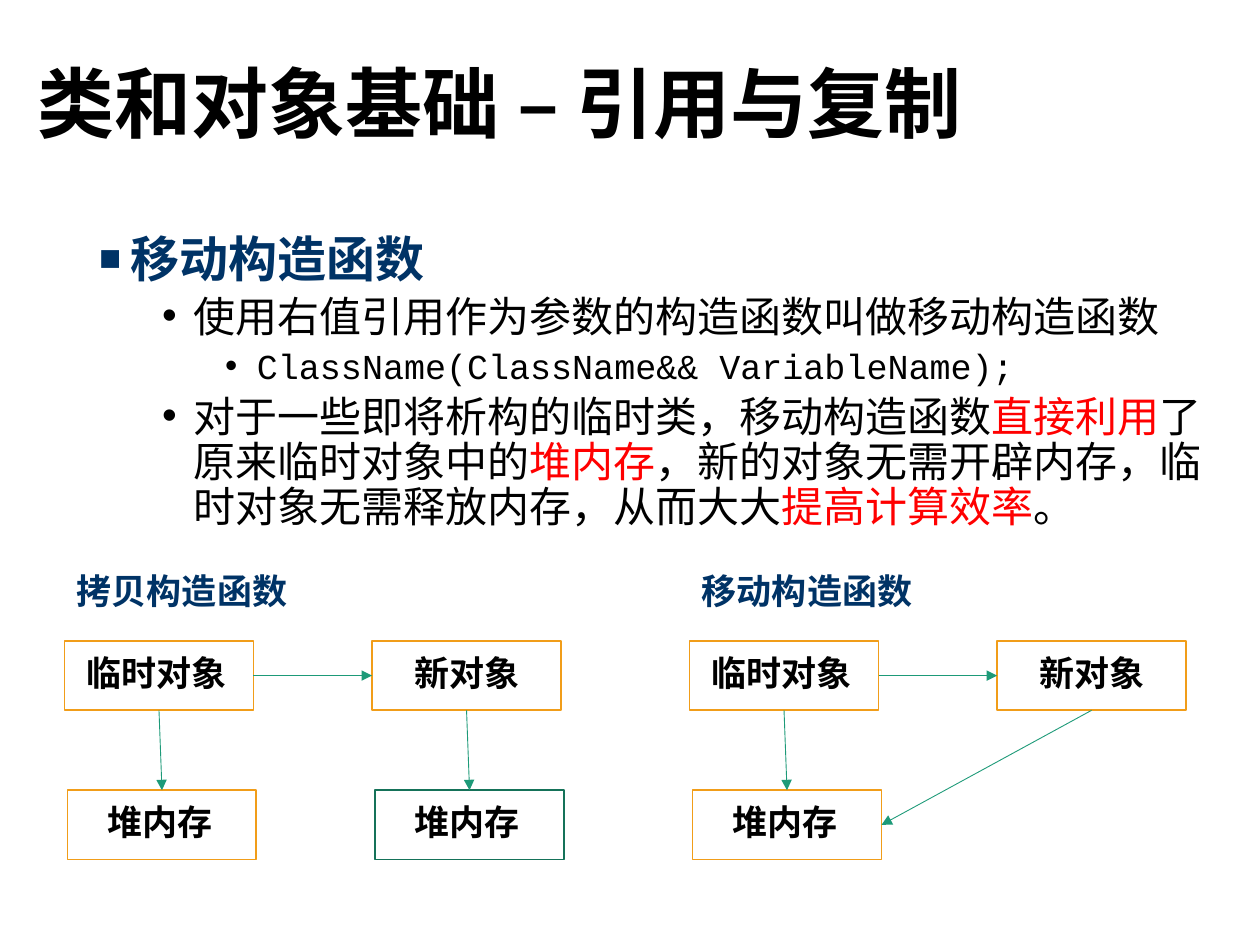
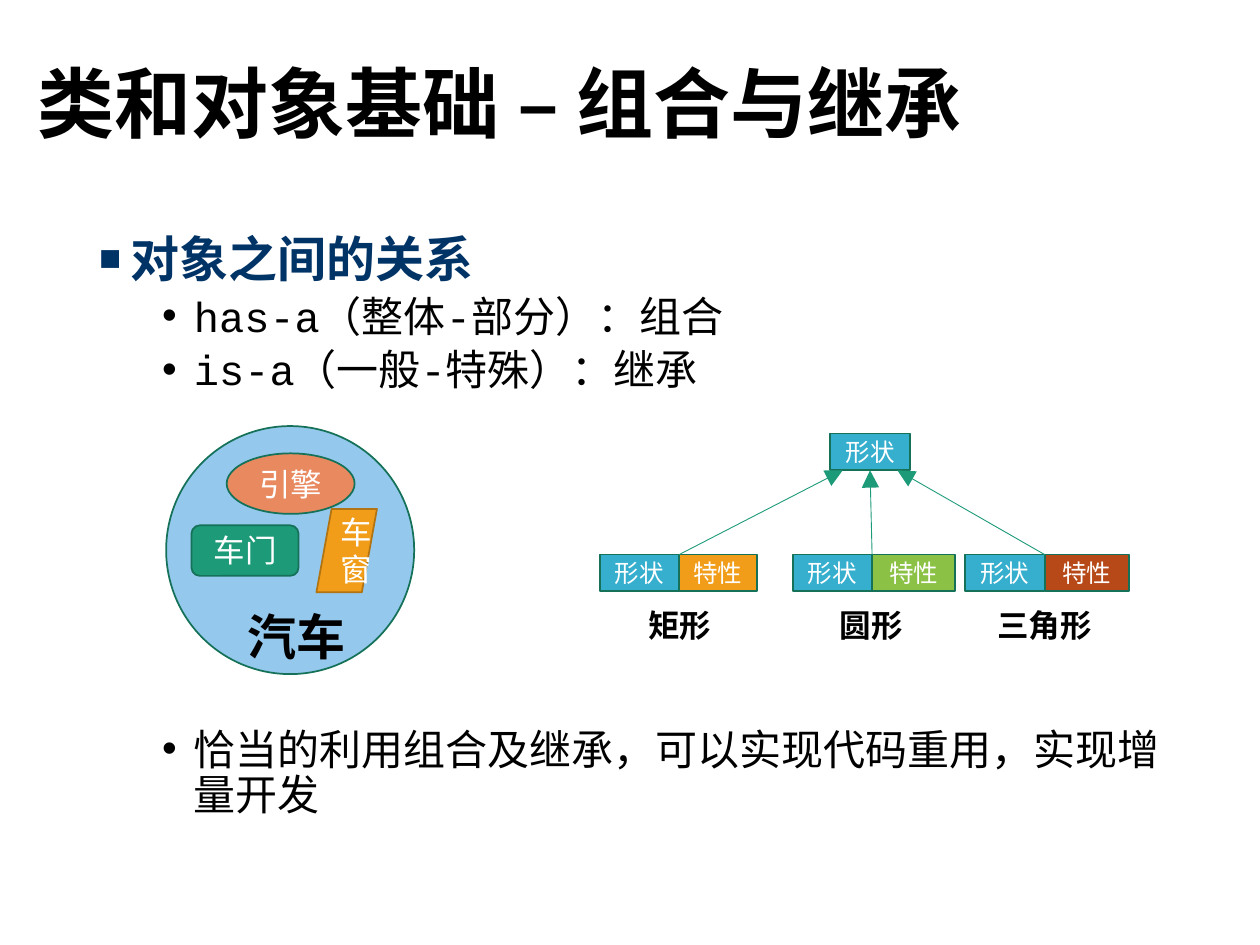
from lxml.etree import SubElement
from pptx import Presentation
from pptx.dml.color import RGBColor
from pptx.enum.shapes import MSO_CONNECTOR as Link, MSO_SHAPE as Preset
from pptx.enum.text import MSO_ANCHOR as Anchor, PP_ALIGN as Align
from pptx.oxml.ns import qn
from pptx.util import Cm, Pt

COLORS = {
    "black": "000000", "white": "FFFFFF", "navy": "003366", "red": "FF0000",
    "orange": "F19D19", "amber": "B27412", "green": "1D9A78", "pine": "157259",
    "sky": "94C8ED", "coral": "E98960", "cyan": "36AFCE", "lime": "8BC145",
    "rust": "B74919",
}
CJK, CODE, PLAIN = "Noto Sans CJK SC", "Courier New", "Calibri"
TOP, LEFT, BOTTOM, RIGHT = range(4)
LINE_PITCH = 1.19  # line height per point of text size

# Outline levels: size, bullet, bullet size in percent, space before, colour, bold
LEVELS = [
    (28, "■", 75, 0, "navy", True),
    (24, "•", 100, 5, "black", False),
    (20, "•", 100, 5, "black", False),
]


def rgb(color):
    return RGBColor.from_string(COLORS[color])


class Deck:
    """Shared style, plus the slide being filled; lengths are centimetres."""

    def __init__(self):
        self.prs = Presentation()
        self.prs.slide_width, self.prs.slide_height = Cm(25.4), Cm(19.05)
        self.slide = None

    def new_slide(self, topic):
        self.slide = self.prs.slides.add_slide(self.prs.slide_layouts[6])
        title = self.label(0.51, 0.33, 21.89, 3.68, "类和对象基础 – " + topic, 44)
        title.text_frame.paragraphs[0].line_spacing = 0.9

    def run(self, paragraph, text, size, color="black", bold=False, font=CJK):
        run = paragraph.add_run()
        run.text = text
        run.font.size, run.font.bold = Pt(size), bold
        run.font.color.rgb = rgb(color)
        run.font.name = font
        SubElement(run.font._element, qn("a:ea")).set("typeface", CJK)

    def label(self, x, y, w, h, text, size, color="black", font=CJK, align=Align.LEFT):
        box = self.slide.shapes.add_textbox(Cm(x), Cm(y), Cm(w), Cm(h))
        frame = box.text_frame
        frame.word_wrap, frame.vertical_anchor = True, Anchor.MIDDLE
        frame.paragraphs[0].alignment = align
        self.run(frame.paragraphs[0], text, size, color, True, font)
        return box

    def outline(self, width, items):
        """Bulleted text; an item is (level, [(text, colour, font)...], space before)."""
        box = self.slide.shapes.add_textbox(Cm(1.75), Cm(4.6), Cm(width), Cm(13.18))
        frame = box.text_frame
        frame.word_wrap = True
        for number, (level, parts, gap) in enumerate(items):
            paragraph = frame.add_paragraph() if number else frame.paragraphs[0]
            size, mark, percent, before, color, bold = LEVELS[level]
            paragraph.level = level
            paragraph.line_spacing = Pt(round(size * LINE_PITCH * 0.9, 1))
            paragraph.space_before = Pt(gap or before)
            for text, tint, font in parts:
                self.run(paragraph, text, size, tint or color, bold, font)
            self.bullet(paragraph, mark, percent, 0.64 + 1.27 * level)

    def bullet(self, paragraph, mark, percent, margin):
        props = paragraph._p.get_or_add_pPr()
        props.set("marL", str(Cm(margin)))
        props.set("indent", str(Cm(-0.64)))
        SubElement(props, qn("a:buSzPct")).set("val", str(percent * 1000))
        SubElement(props, qn("a:buFont")).set("typeface", "Arial")
        SubElement(props, qn("a:buChar")).set("char", mark)

    def shape(self, preset, x, y, w, h, fill, line="pine", text="", size=18):
        shape = self.slide.shapes.add_shape(preset, Cm(x), Cm(y), Cm(w), Cm(h))
        shape.shadow.inherit = False
        shape.fill.solid()
        shape.fill.fore_color.rgb = rgb(fill)
        shape.line.color.rgb, shape.line.width = rgb(line), Pt(1)
        if text:
            shape.text_frame.vertical_anchor = Anchor.MIDDLE
            paragraph = shape.text_frame.paragraphs[0]
            paragraph.alignment = Align.CENTER
            paragraph.line_spacing = Pt(round(size * LINE_PITCH, 1))
            self.run(paragraph, text, size, "white", font=PLAIN)
        return shape

    def arrow(self, start=(0, 0), end=(0, 0), begin=None, finish=None, head="med"):
        """Arrow between points; begin and finish are (shape, side) to join."""
        ends = [Cm(value) for value in (*start, *end)]
        arrow = self.slide.shapes.add_connector(Link.STRAIGHT, *ends)
        if begin:
            arrow.begin_connect(*begin)
        if finish:
            arrow.end_connect(*finish)
        arrow.line.color.rgb, arrow.line.width = rgb("green"), Pt(0.5)
        tail = SubElement(arrow.line._get_or_add_ln(), qn("a:tailEnd"))
        for key, value in (("type", "triangle"), ("w", head), ("len", head)):
            tail.set(key, value)
        SubElement(arrow._element.spPr, qn("a:effectLst"))

    def save(self):
        self.prs.save("out.pptx")


def memory_diagram(deck, left, heading, moves):
    """Objects above, heap memory below; a move reuses the first heap block."""
    top, heap_top, heap_left, step = 12.92, 15.93, left + 0.06, 6.2

    def node(x, y, text, indent, line="orange"):
        box = deck.shape(Preset.RECTANGLE, x, y, 3.81, 1.4, "white", line)
        deck.label(x + indent, y + 0.08, 5.21, 1.12, text, 20)
        return box

    temporary = node(left, top, "临时对象", 0.2)
    new = node(left + step, top, "新对象", 0.6)
    heap = node(heap_left, heap_top, "堆内存", 0.55)
    if moves:
        target = heap, RIGHT
    else:
        target = node(heap_left + step, heap_top, "堆内存", 0.55, "pine"), TOP
    deck.arrow(begin=(temporary, RIGHT), finish=(new, LEFT))
    deck.arrow(begin=(temporary, BOTTOM), finish=(heap, TOP))
    deck.arrow(begin=(new, BOTTOM), finish=target)
    deck.label(left, 11.35, 7.16, 1.12, heading, 20, "navy")


def move_constructor_slide(deck):
    deck.new_slide("引用与复制")
    deck.outline(23.34, [
        (0, [("移动构造函数", None, CODE)], None),
        (1, [("使用右值引用作为参数的构造函数叫做移动构造函数", None, CODE)], None),
        (2, [("ClassName(ClassName&& VariableName);", None, CODE)], None),
        (1, [
            ("对于一些即将析构的临时类，移动构造函数", None, CJK),
            ("直接利用", "red", CJK),
            ("了原来临时对象中的", None, CJK),
            ("堆内存", "red", CJK),
            ("，新的对象无需开辟内存，临时对象无需释放内存，从而大大", None, CJK),
            ("提高计算效率", "red", CJK),
            ("。", None, CJK),
        ], None),
    ])
    memory_diagram(deck, 1.3, "拷贝构造函数", moves=False)
    memory_diagram(deck, 13.9, "移动构造函数", moves=True)


def car_diagram(deck):
    deck.shape(Preset.OVAL, 3.35, 8.59, 5, 5, "sky")
    deck.label(4.75, 12.09, 2.84, 1.45, "汽车", 28, font=PLAIN)
    deck.shape(Preset.ROUNDED_RECTANGLE, 3.86, 10.59, 2.16, 1.02, "green", text="车门")
    deck.shape(Preset.PARALLELOGRAM, 6.38, 10.26, 1.22, 1.68, "orange", "amber", "车窗")
    deck.shape(Preset.OVAL, 4.57, 9.14, 2.58, 1.22, "coral", text="引擎")


def shape_tree(deck):
    base_width, height, row = 1.6, 0.74, 11.18
    root_left, root_top = 16.74, 8.74

    def cell(x, y, width, fill, text):
        return deck.shape(Preset.RECTANGLE, x, y, width, height, fill, text=text, size=14)

    root = cell(root_left, root_top, base_width, "cyan", "形状")
    root_middle = root_left + base_width / 2
    children = [
        ("矩形", 12.09, 1.57, "orange", 13.7, 2.06, -0.55),
        ("圆形", 15.98, 1.68, "lime", 17.56, 2.06, 0),
        ("三角形", 19.46, 1.7, "rust", 21.06, 2.74, 0.55),
    ]
    for name, left, width, fill, name_middle, name_width, spread in children:
        seam = left + base_width
        cell(seam, row, width, fill, "特性")
        cell(left, row, base_width, "cyan", "形状")
        deck.label(name_middle - name_width / 2, 12.17, name_width, 0.84, name, 18,
                   font=PLAIN, align=Align.CENTER)
        deck.arrow((seam, row), (root_middle + spread, root_top + height),
                   finish=None if spread else (root, BOTTOM), head="lg")


def relations_slide(deck):
    deck.new_slide("组合与继承")
    deck.outline(22.35, [
        (0, [("对象之间的关系", None, CODE)], None),
        (1, [("has-a（整体-部分）：组合", None, CODE)], None),
        (1, [("is-a（一般-特殊）：继承", None, CODE)], None),
        (1, [("恰当的利用组合及继承，可以实现代码重用，实现增量开发", None, CODE)], 191),
    ])
    car_diagram(deck)
    shape_tree(deck)


def main():
    deck = Deck()
    move_constructor_slide(deck)
    relations_slide(deck)
    deck.save()


if __name__ == "__main__":
    main()
